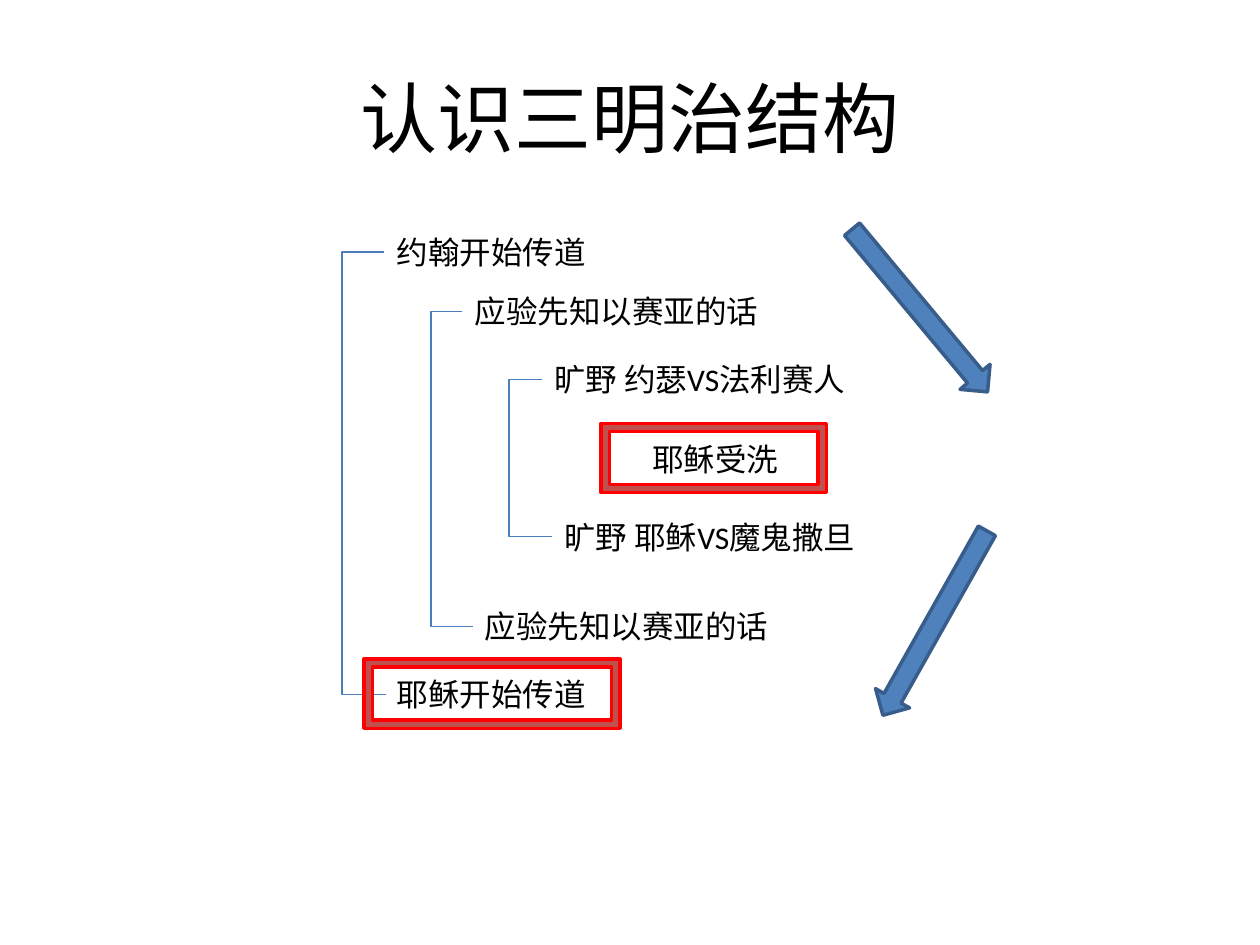
from lxml import etree
from pptx import Presentation
from pptx import util as u
from pptx.dml.color import RGBColor
from pptx.enum import shapes, text
from pptx.oxml.ns import qn

BLACK = RGBColor(0x00, 0x00, 0x00)
BLUE = RGBColor(0x4F, 0x81, 0xBD)
DARK_BLUE = RGBColor(0x38, 0x5D, 0x8A)
BRACKET_BLUE = RGBColor(0x4A, 0x7E, 0xBB)
BRICK = RGBColor(0xC0, 0x50, 0x4D)
RED = RGBColor(0xFF, 0x00, 0x00)

COLUMNS, ROWS = 100, 75
LABEL_ROWS = 4


class Sandwich:
    font = "Calibri"

    def __init__(self, deck):
        self.slide = deck.slides.add_slide(deck.slide_layouts[6])
        self.column = deck.slide_width / COLUMNS
        self.row = deck.slide_height / ROWS

    def place(self, left, top, width, height):
        return (u.Emu(round(left * self.column)), u.Emu(round(top * self.row)),
                u.Emu(round(width * self.column)), u.Emu(round(height * self.row)))

    def words(self, content, left, top, width, height=LABEL_ROWS, size=18,
              align=text.PP_ALIGN.LEFT, anchor=text.MSO_ANCHOR.TOP):
        frame = self.slide.shapes.add_textbox(*self.place(left, top, width, height)).text_frame
        frame.word_wrap = True
        frame.vertical_anchor = anchor
        line = frame.paragraphs[0]
        line.text = content
        line.alignment = align
        line.font.name = self.font
        line.font.size = u.Pt(size)
        line.font.color.rgb = BLACK

    def bracket(self, first, last, reach):
        (left, top), (right, bottom) = first, last
        link = self.slide.shapes.add_connector(
            shapes.MSO_CONNECTOR.ELBOW, *self.place(left, top, right, bottom))
        link.line.color.rgb = BRACKET_BLUE
        link.line.width = u.Pt(0.75)
        properties = link._element.spPr
        bend = properties.find(qn("a:prstGeom")).get_or_add_avLst()
        share = round(-reach / (right - left) * 100000)
        etree.SubElement(bend, qn("a:gd"), name="adj1", fmla=f"val {share}")
        etree.SubElement(properties, qn("a:effectLst"))

    def solid(self, preset, box, fill, outline, adjustments, turn=0):
        body = self.slide.shapes.add_shape(preset, *self.place(*box))
        body.shadow.inherit = False
        body.fill.solid()
        body.fill.fore_color.rgb = fill
        body.line.color.rgb = outline
        body.line.width = u.Pt(2)
        body.rotation = turn
        for index, value in enumerate(adjustments):
            body.adjustments[index] = value

    def arrow(self, left, top, turn):
        self.solid(shapes.MSO_SHAPE.RIGHT_ARROW, (left, top, 16.8, 3.1),
                   BLUE, DARK_BLUE, (0.5, 0.5), turn)

    def highlight(self, left, top, width):
        self.solid(shapes.MSO_SHAPE.FRAME, (left, top, width, 5.5), BRICK, RED, (0.12,))


def main():
    deck = Presentation()
    deck.slide_width, deck.slide_height = u.Inches(10), u.Inches(7.5)
    page = Sandwich(deck)

    page.words("认识三明治结构", 5, 3, 90, 12.5, 44,
               text.PP_ALIGN.CENTER, text.MSO_ANCHOR.MIDDLE)

    layers = [
        (("约翰开始传道", 30.5, 18, 32), ("耶稣开始传道", 30.5, 53.1, 17.2), 3.4),
        (("应验先知以赛亚的话", 36.7, 22.7, 26.6), ("应验先知以赛亚的话", 37.5, 47.7, 26.6), 2.5),
        (("旷野 约瑟VS法利赛人", 43, 28.1, 26.6), ("旷野 耶稣VS魔鬼撒旦", 43.8, 40.6, 26.6), 2.6),
    ]
    for opening, closing, reach in layers:
        page.words(*opening)
        page.words(*closing)
        starts = [(left, top + LABEL_ROWS / 2) for _, left, top, _ in (opening, closing)]
        if starts[0][0] == starts[1][0]:
            starts[1] = (starts[1][0] + 0.1, starts[1][1])
        page.bracket(*starts, reach)
    page.words("耶稣受洗", 50.8, 34.4, 16.4)

    page.arrow(64.6, 23.1, 50.2)
    page.arrow(65.8, 47.9, 119.4)
    page.highlight(47.7, 33.6, 17.9)
    page.highlight(28.9, 52.3, 20.3)

    deck.save("out.pptx")


if __name__ == "__main__":
    main()
